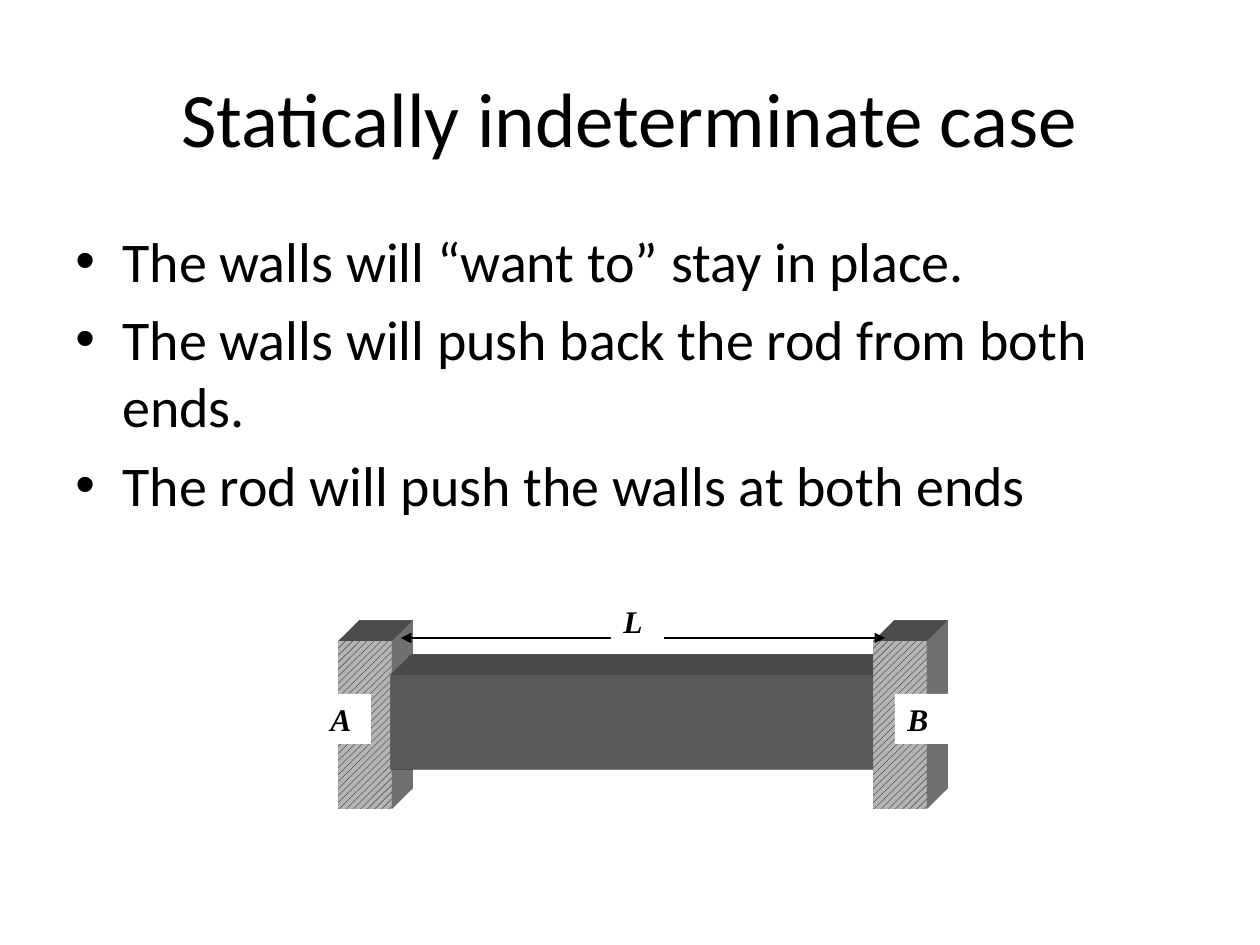
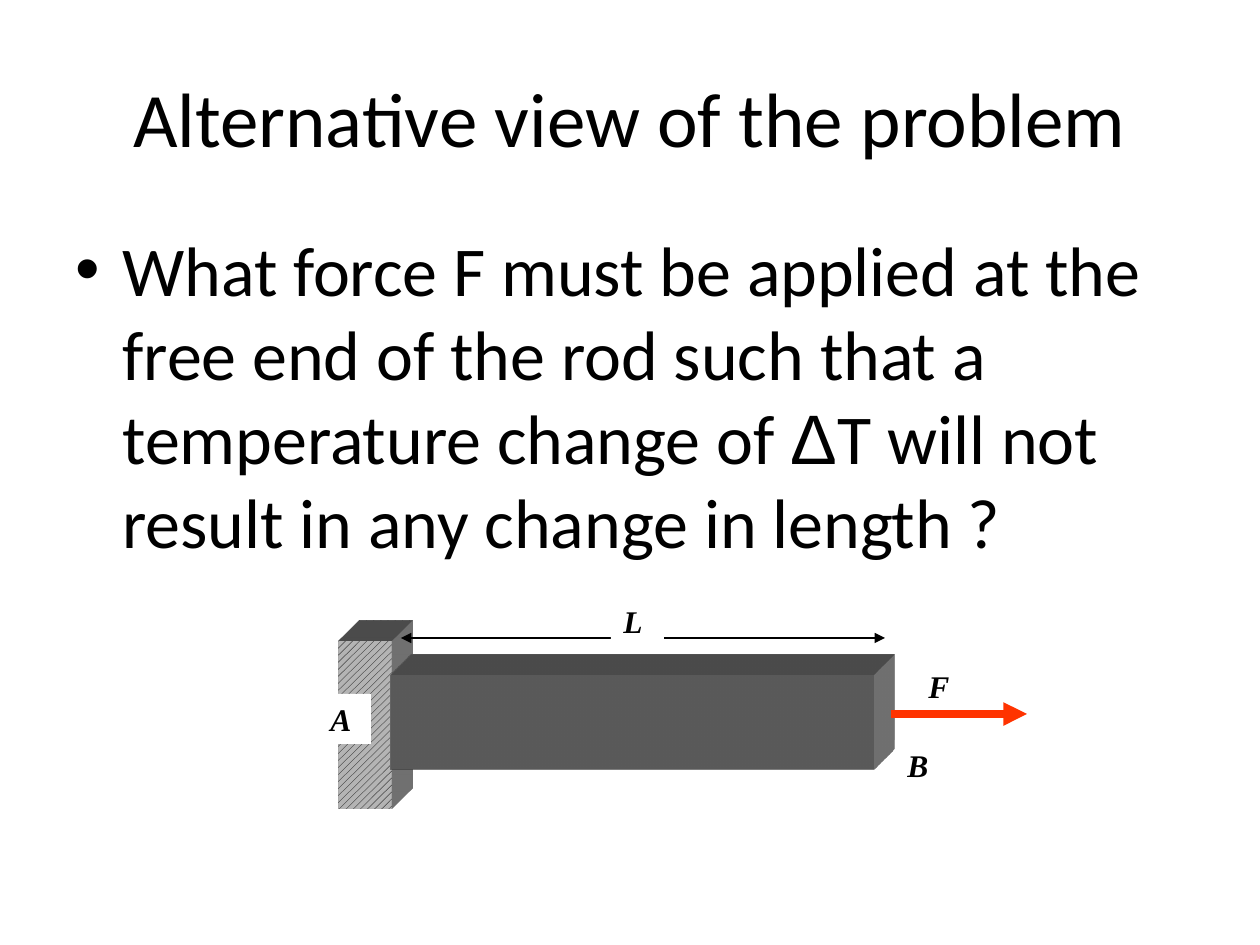
from dataclasses import dataclass
from typing import NamedTuple

from lxml.etree import SubElement
from pptx import Presentation
from pptx.dml.color import RGBColor as RGB
from pptx.enum.dml import MSO_PATTERN as PATTERN
from pptx.enum.shapes import MSO_CONNECTOR as CONNECTOR, MSO_SHAPE as SHAPE
from pptx.enum.text import MSO_ANCHOR as ANCHOR, MSO_AUTO_SIZE as AUTO, PP_ALIGN as ALIGN
from pptx.oxml import parse_xml
from pptx.oxml.ns import nsdecls, qn
from pptx.util import Emu, Pt

PX_PER_INCH = 126
SCALE = 914400 / PX_PER_INCH


@dataclass(frozen=True)
class Theme:
    ink: RGB = RGB(0, 0, 0)
    paper: RGB = RGB(255, 255, 255)
    steel: RGB = RGB(0x80, 0x80, 0x80)
    force: RGB = RGB(0xFF, 0x33, 0x00)
    font: str = "Calibri"
    symbol_font: str = "Arial"
    label_font: str = "Times New Roman"
    title_size: int = 44
    label_size: int = 18


THEME = Theme()


class Box(NamedTuple):
    x: int
    y: int
    w: int
    h: int


class Run(NamedTuple):
    text: str
    font: str = THEME.font


class Label(NamedTuple):
    text: str
    box: Box
    filled: bool = True


class Arrow(NamedTuple):
    x1: int
    x2: int
    y: int
    color: RGB
    width: float
    both_ends: bool


class Page(NamedTuple):
    title: str
    bullets: list[list[Run]]
    text_size: int
    blocks: list[Box]
    labels: list[Label]
    arrows: list[Arrow]


# Shared geometry in px
TITLE_BOX = Box(63, 38, 1134, 157)
BODY_BOX = Box(63, 220, 1134, 624)
INDENT = 47
ROD = Box(391, 675, 483, 95)
WALL_A = Box(339, 641, 53, 168)
WALL_B = WALL_A._replace(x=ROD.x + ROD.w)
LABEL_A = Label("A", Box(318, 694, 53, 50))
LABEL_B = Label("B", LABEL_A.box._replace(x=895))
LABEL_L = Label("L", Box(611, 596, 53, 50))
SPAN = Arrow(401, 885, 638, THEME.ink, 1.5, True)

PAGES = [
    Page(
        "Statically indeterminate case",
        [
            [Run("The walls will “want to” stay in place.")],
            [Run("The walls will push back the rod from both ends.")],
            [Run("The rod will push the walls at both ends")],
        ],
        32,
        [WALL_A, ROD, WALL_B],
        [LABEL_A, LABEL_B, LABEL_L],
        [SPAN],
    ),
    Page(
        "Alternative view of the problem",
        [[
            Run("What force F must be applied at the free end of the rod such that "
                "a temperature change of "),
            Run("Δ", THEME.symbol_font),
            Run("T will not result in any change in length ?"),
        ]],
        40,
        [WALL_A, ROD],
        [
            LABEL_A,
            LABEL_B._replace(box=LABEL_B.box._replace(y=740)),
            LABEL_L,
            Label("F", Box(916, 661, 84, 50), filled=False),
        ],
        [SPAN, Arrow(891, 1027, 714, THEME.force, 4.5, False)],
    ),
]


def px(n: float) -> Emu:
    return Emu(round(n * SCALE))


def emu(box: Box) -> list[Emu]:
    return [px(n) for n in box]


def add_run(p, text: str, font: str, size: int, strong: bool = False) -> None:
    r = p.add_run()
    r.text = text
    f = r.font
    f.name, f.size, f.color.rgb = font, Pt(size), THEME.ink
    if strong:
        f.bold = f.italic = True


def add_title(slide, text: str) -> None:
    sp = slide.shapes.title
    sp.left, sp.top, sp.width, sp.height = emu(TITLE_BOX)
    tf = sp.text_frame
    tf.vertical_anchor = ANCHOR.MIDDLE
    p = tf.paragraphs[0]
    p.alignment = ALIGN.CENTER
    add_run(p, text, THEME.font, THEME.title_size)


def add_bullets(slide, bullets: list[list[Run]], size: int) -> None:
    tf = slide.shapes.add_textbox(*emu(BODY_BOX)).text_frame
    tf.word_wrap = True
    for i, runs in enumerate(bullets):
        p = tf.add_paragraph() if i else tf.paragraphs[0]
        if i:
            p.space_before = Pt(size * 0.2)
        pPr = p._p.get_or_add_pPr()
        pPr.set("marL", str(px(INDENT)))
        pPr.set("indent", str(-px(INDENT)))
        SubElement(pPr, qn("a:buFont"), typeface=THEME.symbol_font)
        SubElement(pPr, qn("a:buChar"), char="•")
        for run in runs:
            add_run(p, run.text, run.font, size)


def extrude(sp) -> None:
    """Give a shape an oblique depth towards the top right."""
    ns = nsdecls("a")
    scene = (f'<a:scene3d {ns}><a:camera prst="legacyObliqueTopRight"/>'
             '<a:lightRig rig="legacyFlat3" dir="b"/></a:scene3d>')
    solid = (f'<a:sp3d {ns} extrusionH="430200" prstMaterial="legacyMatte">'
             '<a:bevelT w="13500" h="13500" prst="angle"/>'
             '<a:bevelB w="13500" h="13500" prst="angle"/>'
             f'<a:extrusionClr><a:srgbClr val="{THEME.steel}"/></a:extrusionClr></a:sp3d>')
    for xml in (scene, solid):
        sp._element.spPr.append(parse_xml(xml))


def add_rect(slide, box: Box):
    sp = slide.shapes.add_shape(SHAPE.RECTANGLE, *emu(box))
    sp.line.fill.background()
    sp.shadow.inherit = False
    return sp


def add_block(slide, box: Box) -> None:
    sp = add_rect(slide, box)
    fill = sp.fill
    if box == ROD:
        fill.solid()
        fill.fore_color.rgb = THEME.steel
    else:
        fill.patterned()
        fill.pattern = PATTERN.WIDE_UPWARD_DIAGONAL
        fill.fore_color.rgb, fill.back_color.rgb = THEME.ink, THEME.paper
    extrude(sp)


def add_label(slide, label: Label) -> None:
    if label.filled:
        sp = add_rect(slide, label.box)
        sp.fill.solid()
        sp.fill.fore_color.rgb = THEME.paper
    else:
        sp = slide.shapes.add_textbox(*emu(label.box))
    tf = sp.text_frame
    tf.word_wrap = True
    tf.auto_size = AUTO.SHAPE_TO_FIT_TEXT
    tf.vertical_anchor = ANCHOR.TOP
    p = tf.paragraphs[0]
    p.alignment = ALIGN.LEFT
    add_run(p, label.text, THEME.label_font, THEME.label_size, strong=True)


def add_arrow(slide, arrow: Arrow) -> None:
    y = px(arrow.y)
    cxn = slide.shapes.add_connector(CONNECTOR.STRAIGHT, px(arrow.x1), y, px(arrow.x2), y)
    cxn.line.color.rgb = arrow.color
    cxn.line.width = Pt(arrow.width)
    ln = cxn.line._get_or_add_ln()
    if arrow.both_ends:
        SubElement(ln, qn("a:headEnd"), type="triangle")
    SubElement(ln, qn("a:tailEnd"), type="triangle")
    SubElement(cxn._element.spPr, qn("a:effectLst"))


def add_page(prs, page: Page) -> None:
    slide = prs.slides.add_slide(prs.slide_layouts.get_by_name("Title Only"))
    add_title(slide, page.title)
    add_bullets(slide, page.bullets, page.text_size)
    # Rod and walls, then dimensions and forces, then letters on top
    for box in page.blocks:
        add_block(slide, box)
    for arrow in page.arrows:
        add_arrow(slide, arrow)
    for label in page.labels:
        add_label(slide, label)


def main() -> None:
    prs = Presentation()
    prs.slide_width, prs.slide_height = px(1260), px(945)
    for page in PAGES:
        add_page(prs, page)
    prs.save("out.pptx")


if __name__ == "__main__":
    main()
